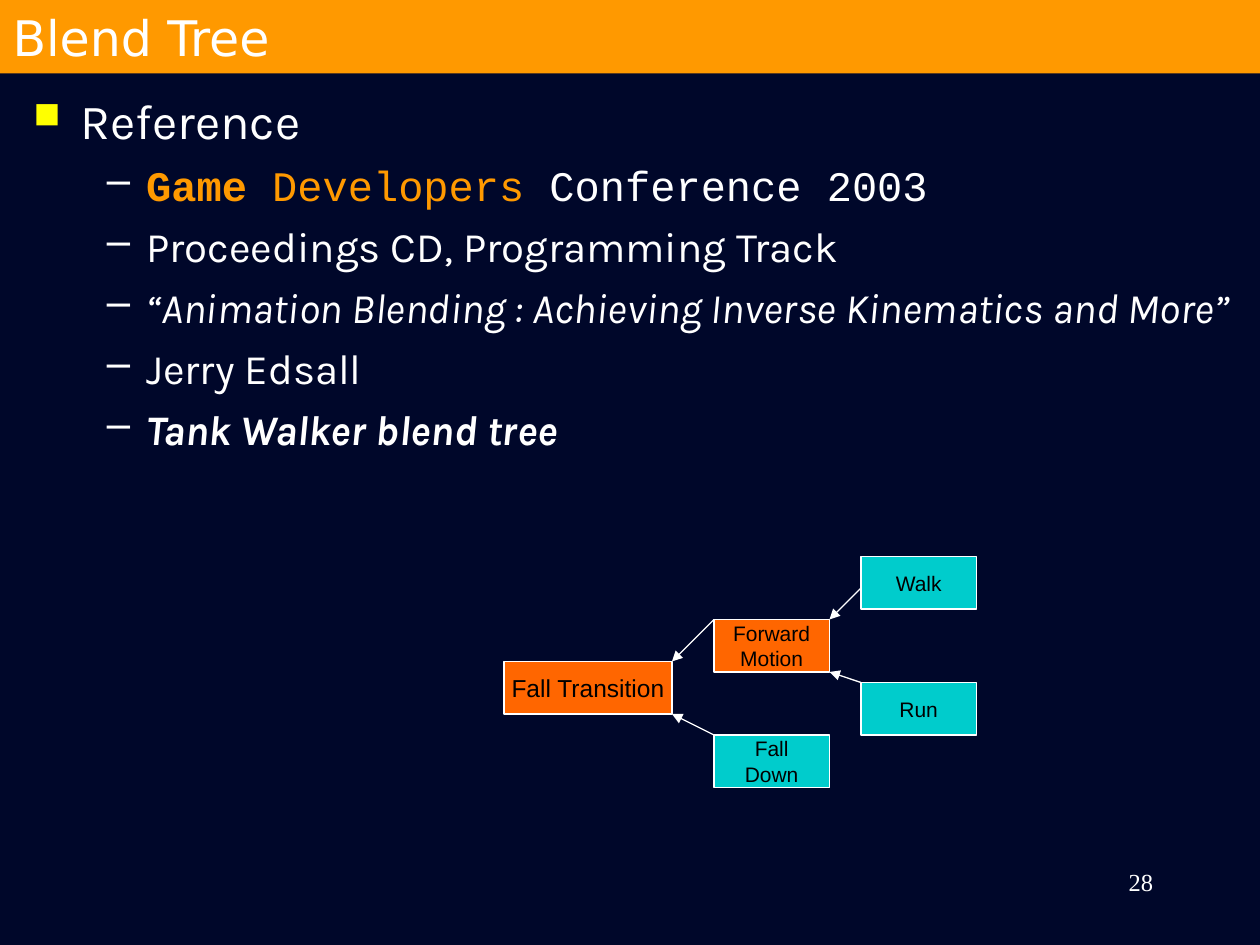
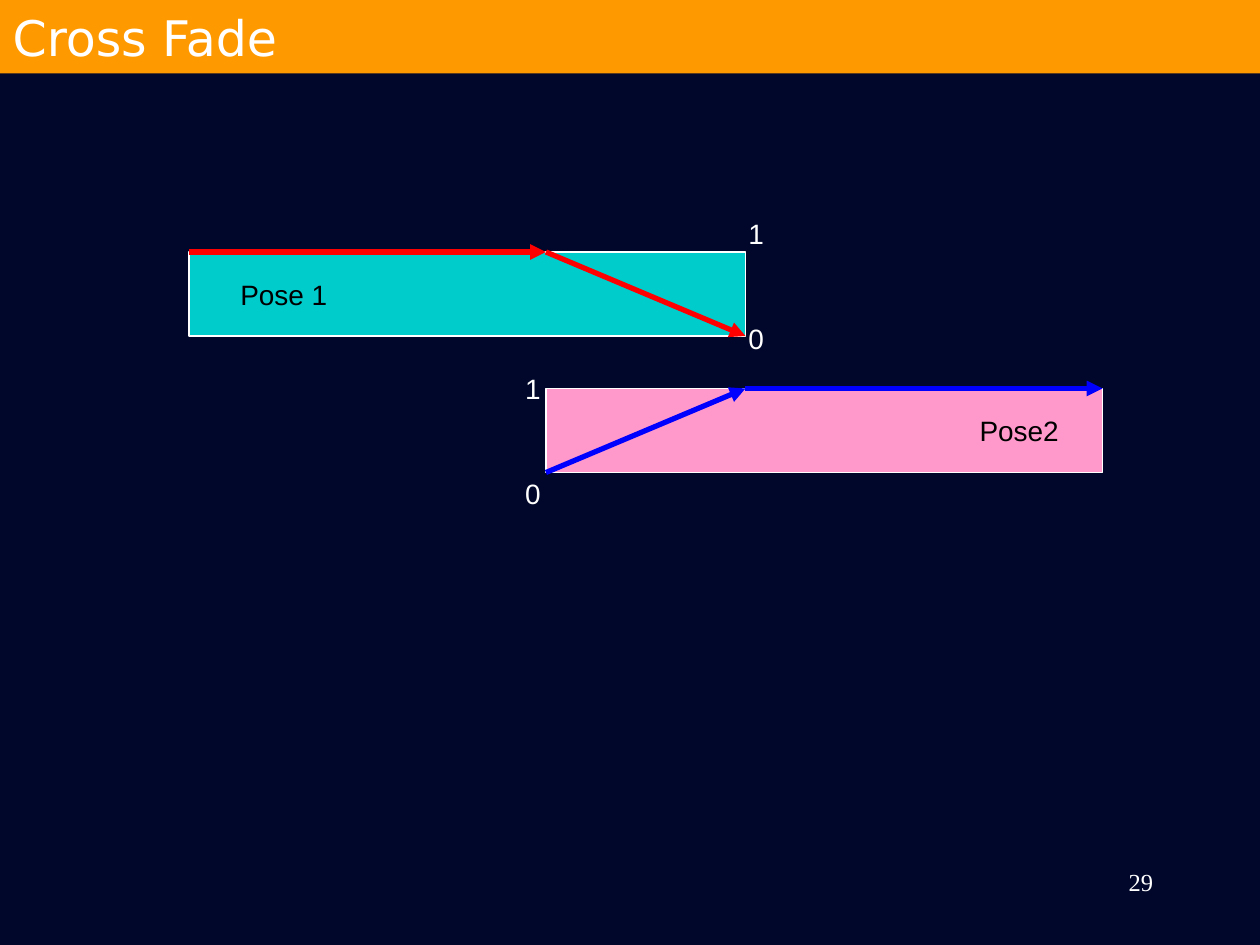
import pptx
import pptx.dml.color
import pptx.enum.shapes
import pptx.enum.text
import pptx.oxml
import pptx.oxml.ns
import pptx.util
from lxml import etree

Pt = pptx.util.Pt
ALIGN = pptx.enum.text.PP_ALIGN
ANCHOR = pptx.enum.text.MSO_ANCHOR

NAVY, ORANGE, WHITE, BLACK = "00072A", "FF9900", "FFFFFF", "000000"
CORAL, TEAL, PINK = "FF6600", "00CCCC", "FF99CC"
RED, BLUE, YELLOW = "FF0000", "0000FF", "FFFF00"
WIDE, HIGH, BAND = 720, 540, 42

HEAD = "Reference"
# Each point is a list of runs: text and how it differs from plain
POINTS = [
    [("Game ", {"name": "Courier New", "color": ORANGE, "bold": True}),
     ("Developers", {"name": "Courier New", "color": ORANGE}),
     (" Conference 2003", {"name": "Courier New"})],
    [("Proceedings CD, Programming Track", {})],
    [("“Animation Blending : Achieving Inverse Kinematics and More”",
      {"italic": True})],
    [("Jerry Edsall", {})],
    [("Tank Walker blend tree", {"bold": True, "italic": True})],
]

# Tree nodes: lines, left, top, width, fill, text size
NODE_HIGH = 30
NODES = {
    "fall": (["Fall Transition"], 288, 378, 96, CORAL, 14),
    "move": (["Forward", "Motion"], 408, 354, 66, CORAL, 12),
    "down": (["Fall", "Down"], 408, 420, 66, TEAL, 12),
    "walk": (["Walk"], 492, 318, 66, TEAL, 12),
    "run": (["Run"], 492, 390, 66, TEAL, 12),
}
# Child, parent, how far below the child's top the arrow starts
LINKS = [("walk", "move", 18), ("run", "move", 0),
         ("down", "fall", 0), ("move", "fall", 0)]

BAR_WIDE, BAR_HIGH = 318, 48
POSE_A, POSE_B = (108, 144), (312, 222)


def color(code):
    return pptx.dml.color.RGBColor.from_string(code)


def add_run(para, text, size, name="Arial", color_hex=WHITE,
            bold=False, italic=False):
    run = para.add_run()
    run.text = text
    font = run.font
    font.size, font.name = Pt(size), name
    font.bold, font.italic = bold, italic
    font.color.rgb = color(color_hex)


def add_box(slide, left, top, wide, high, fill):
    box = slide.shapes.add_shape(pptx.enum.shapes.MSO_SHAPE.RECTANGLE,
                                 Pt(left), Pt(top), Pt(wide), Pt(high))
    box.shadow.inherit = False
    box.fill.solid()
    box.fill.fore_color.rgb = color(fill)
    box.line.color.rgb = color(WHITE)
    box.line.width = Pt(0.75)
    box.text_frame.vertical_anchor = ANCHOR.MIDDLE
    return box


def add_text(slide, left, top, wide, high, wrap=True):
    frame = slide.shapes.add_textbox(Pt(left), Pt(top), Pt(wide),
                                     Pt(high)).text_frame
    frame.word_wrap = wrap
    return frame


def add_arrow(slide, start, end, line_hex=WHITE, width=0.75):
    arrow = slide.shapes.add_connector(
        pptx.enum.shapes.MSO_CONNECTOR.STRAIGHT,
        *[Pt(value) for value in (*start, *end)])
    arrow.line.color.rgb = color(line_hex)
    arrow.line.width = Pt(width)
    qn = pptx.oxml.ns.qn
    tip = etree.SubElement(arrow.line._get_or_add_ln(), qn("a:tailEnd"))
    tip.set("type", "triangle")
    etree.SubElement(arrow._element.spPr, qn("a:effectLst"))


def add_bullet(para, char, left, hang, tint, scale=100):
    props = para._p.get_or_add_pPr()
    props.set("marL", str(Pt(left)))
    props.set("indent", str(-Pt(hang)))
    space = pptx.oxml.ns.nsdecls("a")
    for part in (f'<a:buClr {space}><a:srgbClr val="{tint}"/></a:buClr>',
                 f'<a:buSzPct {space} val="{scale * 1000}"/>',
                 f'<a:buChar {space} char="{char}"/>'):
        props.append(pptx.oxml.parse_xml(part))


def add_slide(deck, title, number):
    """Add a slide with the title band and the page number."""
    slide = deck.slides.add_slide(deck.slide_layouts[5])
    band = slide.shapes.title
    band.left, band.top, band.width, band.height = (
        Pt(0), Pt(0), Pt(WIDE), Pt(BAND))
    band.fill.solid()
    band.fill.fore_color.rgb = color(ORANGE)
    frame = band.text_frame
    frame.auto_size = pptx.enum.text.MSO_AUTO_SIZE.NONE
    frame.vertical_anchor = ANCHOR.MIDDLE
    frame.paragraphs[0].alignment = ALIGN.LEFT
    add_run(frame.paragraphs[0], title, 28, "DejaVu Sans")

    para = add_text(slide, 516, 492, 150, 36).paragraphs[0]
    para.alignment = ALIGN.RIGHT
    add_run(para, str(number), 14, "Times New Roman")
    return slide


def add_points(slide):
    frame = add_text(slide, 12, 48, 708, 264)
    para = frame.paragraphs[0]
    add_bullet(para, "■", 27, 27, YELLOW, 75)
    add_run(para, HEAD, 28, "Karla")
    for point in POINTS:
        para = frame.add_paragraph()
        para.level = 1
        para.space_before = Pt(6)
        add_bullet(para, "–", 64.5, 22.5, WHITE)
        for text, look in point:
            style = {"name": "Karla", **look}
            if "color" in style:
                style["color_hex"] = style.pop("color")
            add_run(para, text, 24, **style)


def add_tree(slide):
    for lines, left, top, wide, fill, size in NODES.values():
        frame = add_box(slide, left, top, wide, NODE_HIGH, fill).text_frame
        frame.word_wrap = False
        for index, text in enumerate(lines):
            para = frame.add_paragraph() if index else frame.paragraphs[0]
            para.alignment = ALIGN.CENTER
            add_run(para, text, size, color_hex=BLACK)
    for child, parent, drop in LINKS:
        _, left, top, *_ = NODES[child]
        _, over, head, wide, *_ = NODES[parent]
        near = head if top < head else head + NODE_HIGH
        add_arrow(slide, (left, top + drop), (over + wide, near))


def add_fade(slide):
    """Draw both pose bars; they cross where they overlap in time."""
    for text, spot, fill, align, pad in (
            ("Pose 1", POSE_A, TEAL, ALIGN.LEFT, 29.4),
            ("Pose2", POSE_B, PINK, ALIGN.RIGHT, 25)):
        frame = add_box(slide, *spot, BAR_WIDE, BAR_HIGH, fill).text_frame
        frame.margin_left = frame.margin_right = Pt(pad)
        frame.paragraphs[0].alignment = align
        add_run(frame.paragraphs[0], text, 16, color_hex=BLACK)

    (left, top), (start, head) = POSE_A, POSE_B
    end = left + BAR_WIDE
    for tint, *marks in (
            (RED, (left, top), (start, top), (end, top + BAR_HIGH)),
            (BLUE, (start, head + BAR_HIGH), (end, head),
             (start + BAR_WIDE, head))):
        for begin, stop in zip(marks, marks[1:]):
            add_arrow(slide, begin, stop, tint, 3)

    for side, high in ((420.5, 120.2), (293, 208.8)):
        for text, drop in (("1", 0), ("0", 59.8)):
            frame = add_text(slide, side, high + drop, 23, 26.6, False)
            add_run(frame.paragraphs[0], text, 16)


def main():
    deck = pptx.Presentation()
    deck.slide_width, deck.slide_height = Pt(WIDE), Pt(HIGH)
    back = deck.slide_master.background.fill
    back.solid()
    back.fore_color.rgb = color(NAVY)

    tree = add_slide(deck, "Blend Tree", 28)
    add_points(tree)
    add_tree(tree)
    add_fade(add_slide(deck, "Cross Fade", 29))
    deck.save("out.pptx")


if __name__ == "__main__":
    main()
